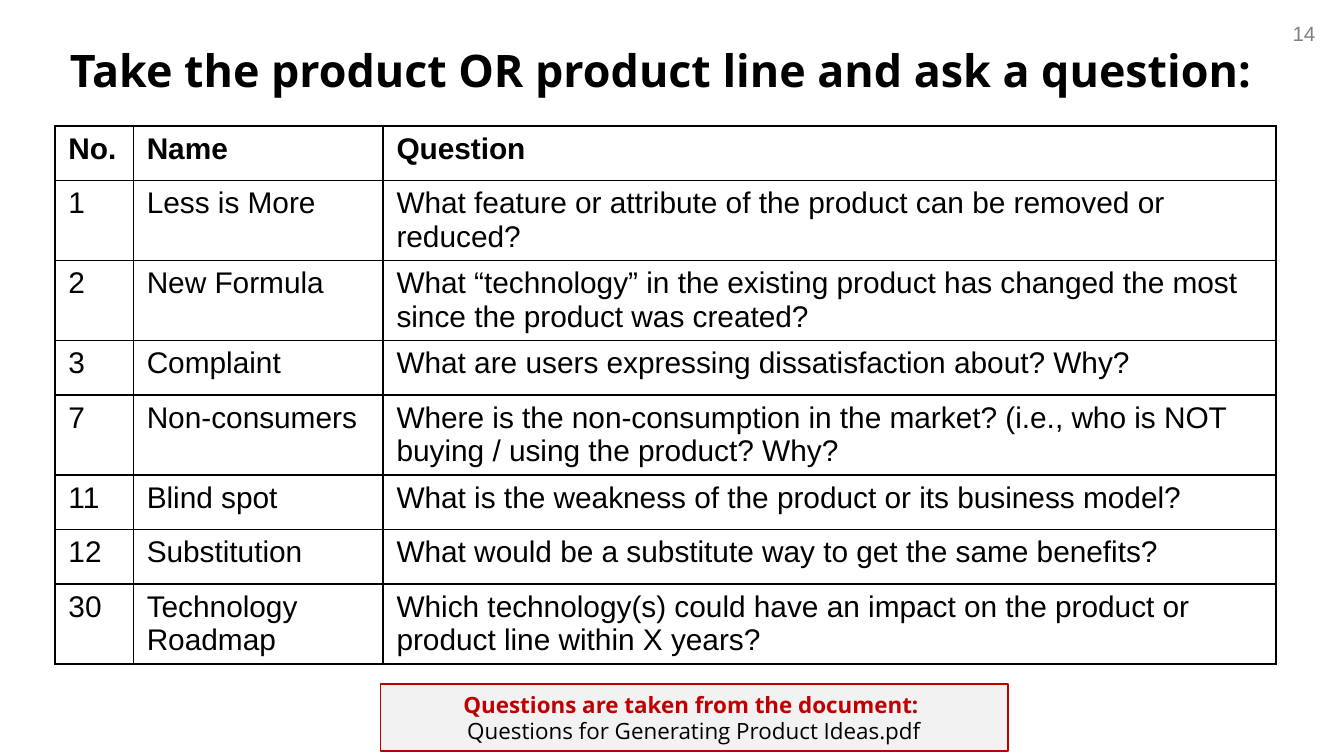
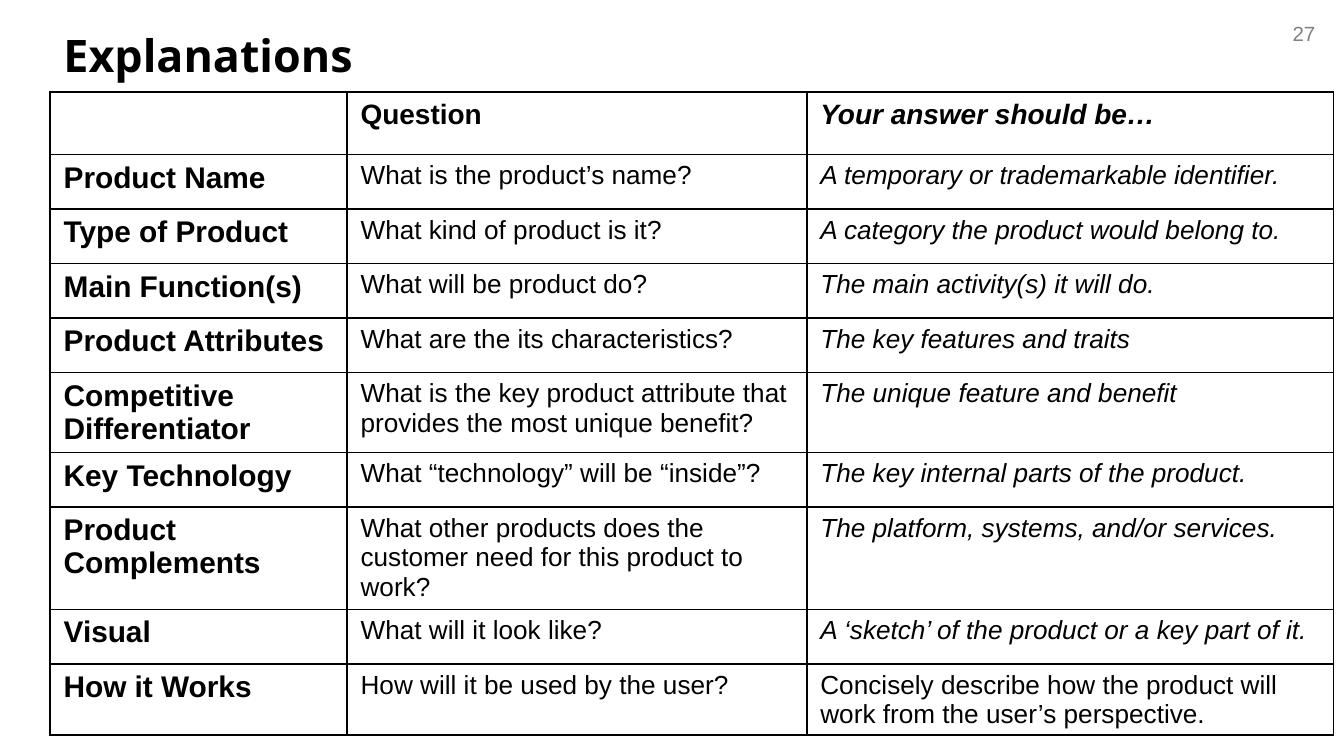
from lxml import etree
from pptx import Presentation
from pptx import util as u
from pptx.dml.color import RGBColor
from pptx.enum import shapes, text
from pptx.oxml.ns import qn

COLORS = {
    "ink": "000000",
    "paper": "FFFFFF",
    "number": "808080",
    "note_fill": "F2F2F2",
    "note_line": "BB0000",
    "note_head": "C00000",
}
BODY, DISPLAY = "Arial", "Open Sans"
ROW_HEIGHT = 1.03


def add_run(paragraph, words, size, font=BODY, color="ink", bold=False, italic=False):
    run = paragraph.add_run()
    run.text = words
    run.font.size = u.Pt(size)
    run.font.name = font
    run.font.bold = bold
    run.font.italic = italic
    run.font.color.rgb = RGBColor.from_string(COLORS[color])


def style_cell(cell, words, size, bold, italic, fill):
    if words:
        add_run(cell.text_frame.paragraphs[0], words, size, bold=bold, italic=italic)
    cell.margin_bottom = u.Cm(0.03)
    props = cell._tc.get_or_add_tcPr()
    for side in ("lnL", "lnR", "lnT", "lnB"):
        line = etree.SubElement(props, qn(f"a:{side}"), w=str(u.Pt(1)))
        solid = etree.SubElement(line, qn("a:solidFill"))
        etree.SubElement(solid, qn("a:srgbClr"), val=COLORS["ink"])
    if fill:
        cell.fill.solid()
        cell.fill.fore_color.rgb = RGBColor.from_string(COLORS[fill])
    else:
        cell.fill.background()


idea_questions = [
    ("No.", "Name", "Question"),
    ("1", "Less is More",
     "What feature or attribute of the product can be removed or reduced?"),
    ("2", "New Formula",
     "What “technology” in the existing product has changed the most since the product was created?"),
    ("3", "Complaint", "What are users expressing dissatisfaction about? Why?"),
    ("7", "Non-consumers",
     "Where is the non-consumption in the market? (i.e., who is NOT buying / using the product? Why?"),
    ("11", "Blind spot", "What is the weakness of the product or its business model?"),
    ("12", "Substitution", "What would be a substitute way to get the same benefits?"),
    ("30", "Technology Roadmap",
     "Which technology(s) could have an impact on the product or product line within X years?"),
]
explanations = [
    ("", "Question", "Your answer should be…"),
    ("Product Name", "What is the product’s name?", "A temporary or trademarkable identifier."),
    ("Type of Product", "What kind of product is it?", "A category the product would belong to."),
    ("Main Function(s)", "What will be product do?", "The main activity(s) it will do."),
    ("Product Attributes", "What are the its characteristics?", "The key features and traits"),
    ("Competitive Differentiator",
     "What is the key product attribute that provides the most unique benefit?",
     "The unique feature and benefit"),
    ("Key Technology", "What “technology” will be “inside”?",
     "The key internal parts of the product."),
    ("Product Complements",
     "What other products does the customer need for this product to work?",
     "The platform, systems, and/or services."),
    ("Visual", "What will it look like?", "A ‘sketch’ of the product or a key part of it."),
    ("How it Works", "How will it be used by the user?",
     "Concisely describe how the product will work from the user’s perspective."),
]

pages = [
    {
        "number": "14",
        "title": "Take the product OR product line and ask a question:",
        "title_box": (1.07, 0.69, 23.29, 1.7),
        "rows": idea_questions,
        "table_at": (1.04, 2.38),
        "columns": (1.48, 4.72, 16.87),
        "header_height": ROW_HEIGHT,
        "sizes": (16, 16, 16),
        "header_size": 16,
        "bold_column": None,
        "italic_column": None,
        "fill": None,
    },
    {
        "number": "27",
        "title": "Explanations",
        "title_box": (0.95, 0.41, 22.86, 1.7),
        "rows": explanations,
        "table_at": (0.95, 1.74),
        "columns": (5.61, 8.69, 9.95),
        "header_height": 1.18,
        "sizes": (16, 14, 14),
        "header_size": 15,
        "bold_column": 0,
        "italic_column": 2,
        "fill": "paper",
    },
]

deck = Presentation()
deck.slide_width, deck.slide_height = u.Cm(25.4), u.Cm(14.29)

for page in pages:
    slide = deck.slides.add_slide(deck.slide_layouts[6])

    number = slide.shapes.add_textbox(u.Cm(23.71), u.Cm(0.28), u.Cm(1.4), u.Cm(0.74)).text_frame
    number.word_wrap = True
    number.paragraphs[0].alignment = text.PP_ALIGN.RIGHT
    add_run(number.paragraphs[0], page["number"], 11, color="number")

    title = slide.shapes.add_textbox(*map(u.Cm, page["title_box"])).text_frame
    title.word_wrap = True
    title.margin_top = u.Cm(0.11)
    add_run(title.paragraphs[0], page["title"], 24, DISPLAY, bold=True)

    rows, columns = page["rows"], page["columns"]
    left, top = page["table_at"]
    grid = slide.shapes.add_table(
        len(rows), len(columns), u.Cm(left), u.Cm(top),
        u.Cm(sum(columns)), u.Cm(ROW_HEIGHT * len(rows))).table
    for column, width in zip(grid.columns, columns):
        column.width = u.Cm(width)
    for r, row in enumerate(rows):
        header = r == 0
        grid.rows[r].height = u.Cm(page["header_height"] if header else ROW_HEIGHT)
        for c, words in enumerate(row):
            size = page["header_size"] if header else page["sizes"][c]
            bold = header or c == page["bold_column"]
            italic = c == page["italic_column"] and row[0] != "How it Works"
            style_cell(grid.cell(r, c), words, size, bold, italic, page["fill"])

source_note = deck.slides[0].shapes.add_shape(
    shapes.MSO_SHAPE.RECTANGLE, u.Cm(7.19), u.Cm(12.93), u.Cm(11.86), u.Cm(1.27))
source_note.shadow.inherit = False
source_note.fill.solid()
source_note.fill.fore_color.rgb = RGBColor.from_string(COLORS["note_fill"])
source_note.line.color.rgb = RGBColor.from_string(COLORS["note_line"])
source_note.line.width = u.Pt(0.75)
note = source_note.text_frame
note.word_wrap = True
note.vertical_anchor = text.MSO_ANCHOR.MIDDLE
note_lines = [
    ("Questions are taken from the document: ", "note_head", True),
    ("Questions for Generating Product Ideas.pdf", "ink", False),
]
for i, (words, color, bold) in enumerate(note_lines):
    paragraph = note.add_paragraph() if i else note.paragraphs[0]
    paragraph.alignment = text.PP_ALIGN.CENTER
    paragraph.line_spacing = u.Pt(14.4)
    add_run(paragraph, words, 12, DISPLAY, color, bold)

deck.save("out.pptx")
